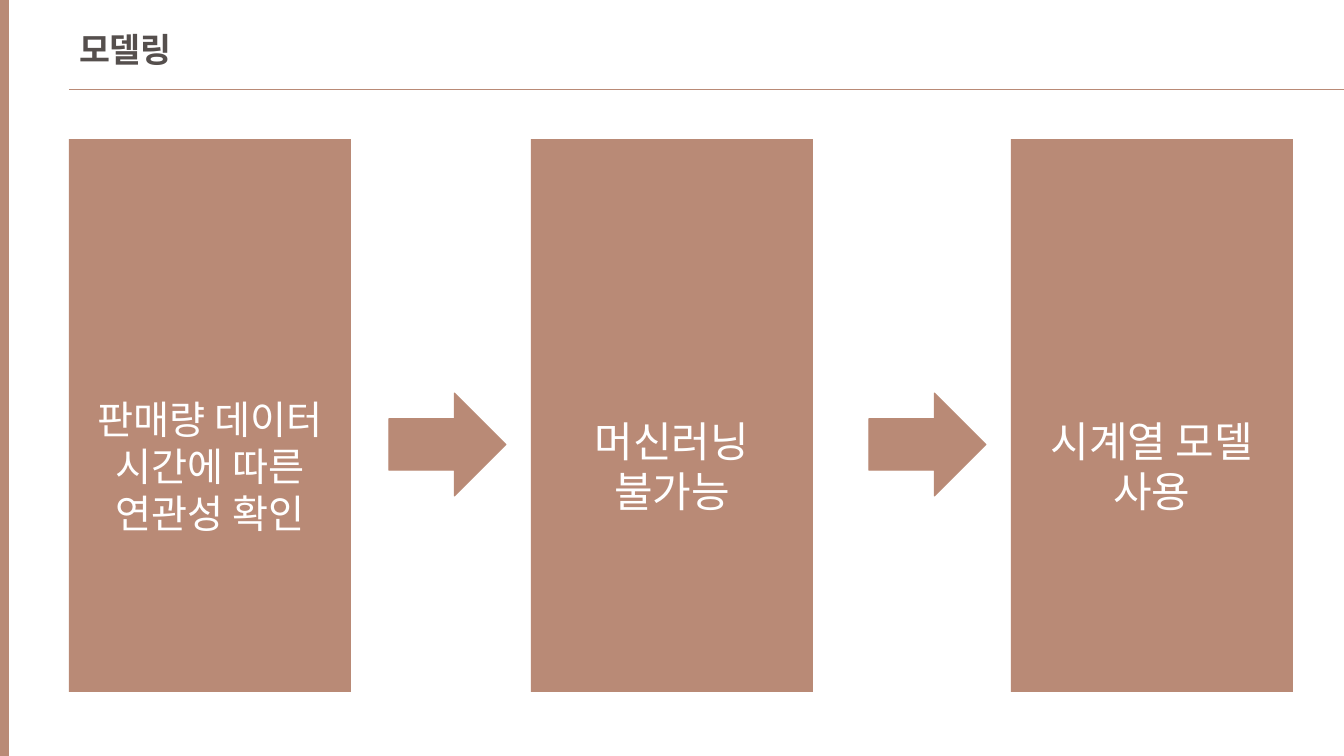
import pptx
import pptx.dml.color
import pptx.enum.shapes
import pptx.enum.text
import pptx.oxml
import pptx.util
from pptx.oxml import ns

CLAY = pptx.dml.color.RGBColor(0xB9, 0x8A, 0x76)
CHARCOAL = pptx.dml.color.RGBColor(0x55, 0x4F, 0x4D)
WHITE = pptx.dml.color.RGBColor(0xFF, 0xFF, 0xFF)
SHAPES = pptx.enum.shapes.MSO_SHAPE
ALIGN = pptx.enum.text.PP_ALIGN
ANCHOR = pptx.enum.text.MSO_ANCHOR

PAGE_WIDTH, PAGE_HEIGHT = 1344, 756
STEP_TOP, STEP_WIDTH, STEP_HEIGHT = 139, 282, 553
ARROW_LEAD = 142  # distance from an arrow's left edge to the next step
STEPS = [
    (69, "판매량 데이터 시간에 따른 연관성 확인", 28),
    (531, "머신러닝 불가능", 30),
    (1011, "시계열 모델 사용", 30),
]


def px(length):
    return pptx.util.Emu(round(length * 914400 / 100.8))


def set_font(paragraph, size, color, bold=False):
    font = paragraph.font
    font.name = "Arial"
    font.size = pptx.util.Pt(size)
    font.bold = bold
    font.color.rgb = color


def add_title(page, text):
    title = page.shapes.title
    title.left, title.top, title.width, title.height = px(69), px(24), px(178), px(50)
    frame = title.text_frame
    frame.text = text
    frame.vertical_anchor = ANCHOR.TOP
    frame.paragraphs[0].alignment = ALIGN.LEFT
    set_font(frame.paragraphs[0], 24, CHARCOAL, bold=True)


def add_rule(page, left, right, top):
    rule = page.shapes.add_connector(
        pptx.enum.shapes.MSO_CONNECTOR.STRAIGHT, px(left), px(top), px(right), px(top))
    rule.line.color.rgb = CLAY
    rule.line.width = pptx.util.Pt(0.75)
    rule._element.spPr.append(pptx.oxml.parse_xml(f"<a:effectLst {ns.nsdecls('a')}/>"))


def add_block(page, kind, left, top, width, height):
    block = page.shapes.add_shape(kind, px(left), px(top), px(width), px(height))
    block.shadow.inherit = False
    block.fill.solid()
    block.fill.fore_color.rgb = CLAY
    block.line.fill.background()
    return block


def add_step(page, left, text, size):
    step = add_block(page, SHAPES.RECTANGLE, left, STEP_TOP, STEP_WIDTH, STEP_HEIGHT)
    frame = step.text_frame
    frame.text = text
    frame.word_wrap = True
    frame.vertical_anchor = ANCHOR.MIDDLE
    frame.margin_top = px(105)
    frame.paragraphs[0].alignment = ALIGN.CENTER
    set_font(frame.paragraphs[0], size, WHITE)


def add_arrow(page, left):
    arrow = add_block(page, SHAPES.RIGHT_ARROW, left, 393, 117, 103)
    arrow.line.color.rgb = CLAY
    arrow.line.width = pptx.util.Pt(0.75)


def main():
    deck = pptx.Presentation()
    deck.slide_width, deck.slide_height = px(PAGE_WIDTH), px(PAGE_HEIGHT)
    page = deck.slides.add_slide(deck.slide_layouts.get_by_name("Title Only"))
    add_title(page, "모델링")
    add_rule(page, 69, PAGE_WIDTH, 90)
    add_block(page, SHAPES.RECTANGLE, 0, 0, 9, PAGE_HEIGHT)
    for left, text, size in STEPS:
        add_step(page, left, text, size)
    for left, _, _ in STEPS[1:]:
        add_arrow(page, left - ARROW_LEAD)
    deck.save("out.pptx")


if __name__ == "__main__":
    main()
